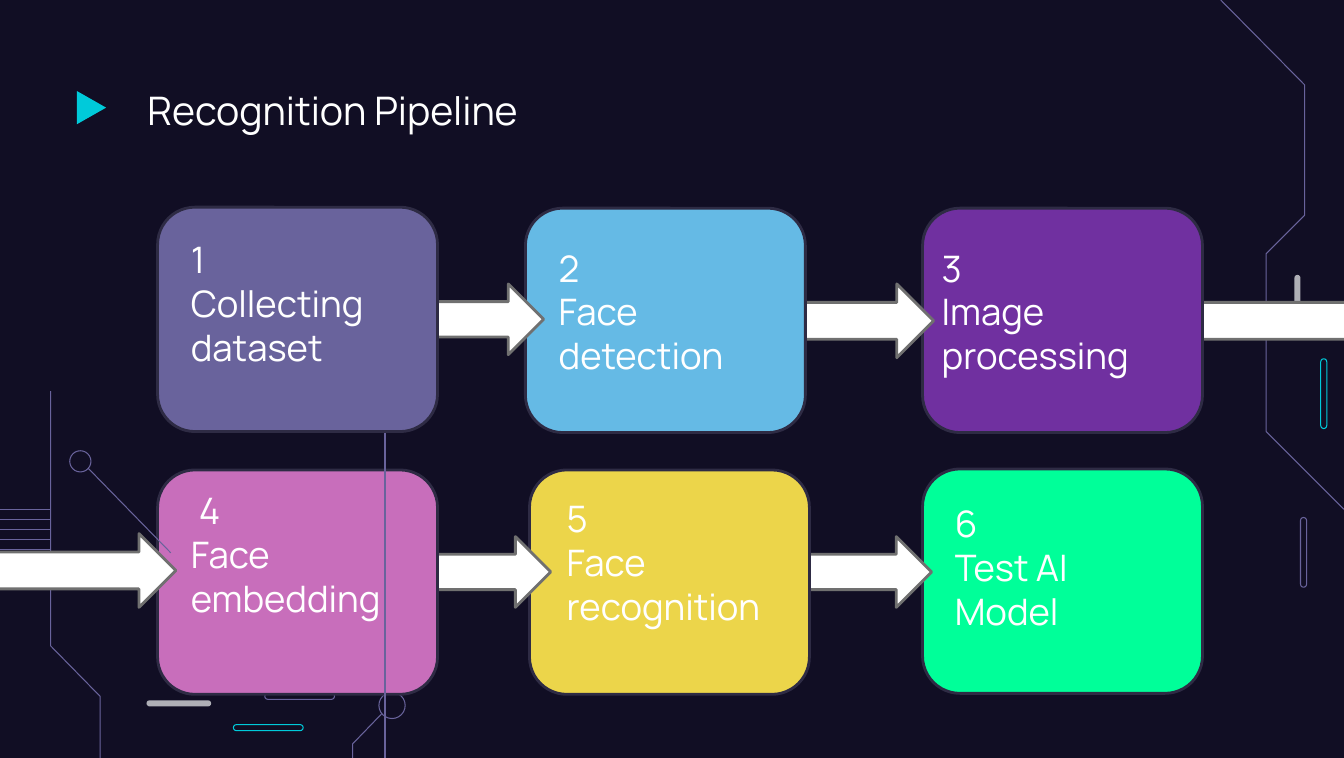
from dataclasses import dataclass
from typing import Optional

from lxml.etree import SubElement
from pptx import Presentation
from pptx.dml.color import RGBColor
from pptx.enum.shapes import MSO_CONNECTOR, MSO_SHAPE
from pptx.enum.text import MSO_ANCHOR, PP_ALIGN
from pptx.oxml.ns import qn
from pptx.util import Inches, Pt

NIGHT = RGBColor(0x11, 0x0E, 0x24)
WHITE = RGBColor(0xFF, 0xFF, 0xFF)
CYAN = RGBColor(0x00, 0xCA, 0xDA)
VIOLET = RGBColor(0x69, 0x63, 0x9C)
SILVER = RGBColor(0xAF, 0xAF, 0xB6)
GRAY = RGBColor(0x70, 0x70, 0x70)
EDGE = RGBColor(0x2E, 0x2B, 0x44)
SKY = RGBColor(0x65, 0xBA, 0xE5)
PURPLE = RGBColor(0x70, 0x30, 0xA0)
PINK = RGBColor(0xC8, 0x6E, 0xBB)
YELLOW = RGBColor(0xEC, 0xD5, 0x4A)
GREEN = RGBColor(0x00, 0xFF, 0x99)

FONT = "Manrope"
WIDE, HIGH = 13.3, 7.5
THIN, BOLD = 0.75, 2


@dataclass
class Form:
    kind: MSO_SHAPE
    x: float
    y: float
    w: float
    h: float
    fill: Optional[RGBColor] = None
    line: Optional[RGBColor] = None
    thick: float = THIN
    turn: float = 0
    round: Optional[float] = None


@dataclass
class Label:
    x: float
    y: float
    w: float
    h: float
    lines: list[str]
    size: float = 26
    indent: float = 0


def pill(x: float, y: float, w: float, h: float,
         fill: Optional[RGBColor], line: Optional[RGBColor]) -> Form:
    return Form(MSO_SHAPE.ROUNDED_RECTANGLE, x, y, w, h, fill, line, round=0.5)


def ring(x: float, y: float, size: float) -> Form:
    return Form(MSO_SHAPE.OVAL, x, y, size, size, line=VIOLET)


def card(x: float, y: float, fill: RGBColor) -> Form:
    return Form(MSO_SHAPE.ROUNDED_RECTANGLE, x, y, 2.77, 2.22, fill, EDGE, BOLD)


def arrow(x: float, y: float, w: float, h: float) -> Form:
    return Form(MSO_SHAPE.RIGHT_ARROW, x, y, w, h, WHITE, GRAY, BOLD)


def step(x: float, y: float, num: str, name: str, indent: float = 0) -> Label:
    return Label(x, y, 2.32, 1.85, [num, name], indent=indent)


DECOR = [
    pill(12.81, 2.72, 0.06, 0.64, SILVER, None),
    pill(1.45, 6.93, 0.64, 0.06, SILVER, None),
    pill(13.07, 3.55, 0.06, 0.69, None, CYAN),
    pill(12.87, 5.12, 0.06, 0.69, None, VIOLET),
    pill(2.31, 7.17, 0.69, 0.06, None, CYAN),
    pill(2.62, 6.86, 0.69, 0.06, None, VIOLET),
    Form(MSO_SHAPE.FLOWCHART_MERGE, 0.74, 0.92, 0.33, 0.29, CYAN, turn=270),
    ring(3.75, 6.85, 0.26),
]
TRACES = [
    [(13.3, 5.04), (12.53, 4.27), (12.53, 2.51), (12.91, 2.13),
     (12.91, 0.84), (12.08, 0)],
    [(0.99, 7.5), (0.99, 6.89), (0.5, 6.39), (0.5, 3.87)],
    [(3.78, 7.06), (3.49, 7.36), (3.49, 7.5)],
]
BACK = [
    arrow(11.74, 2.81, 2, 0.73),
    card(9.13, 4.64, GREEN),
    arrow(7.71, 5.31, 1.51, 0.7),
    card(5.24, 4.65, YELLOW),
    card(9.13, 2.06, PURPLE),
    arrow(4.14, 5.31, 1.31, 0.7),
    card(1.56, 4.65, PINK),
]
FRONT = [
    ring(0.69, 4.46, 0.21),
    arrow(7.61, 2.81, 1.63, 0.73),
    card(5.2, 2.06, SKY),
    arrow(4.07, 2.81, 1.31, 0.7),
    card(1.56, 2.05, VIOLET),
    arrow(-0.71, 5.28, 2.45, 0.73),
]
LABELS = [
    Label(1.36, 0.75, 8.43, 0.63, ["Recognition Pipeline"], 28),
    step(1.79, 2.25, "1", "Collecting dataset"),
    step(5.43, 2.33, "2", "Face detection"),
    step(9.22, 2.33, "3", "Image processing"),
    step(1.79, 4.73, "4", "Face embedding", 0.08),
    step(5.51, 4.81, "5", "Face recognition"),
    step(9.35, 4.86, "6", "Test AI Model"),
]


def paint(shape, fill: Optional[RGBColor], line: Optional[RGBColor],
          thick: float) -> None:
    shape.shadow.inherit = False
    if fill is None:
        shape.fill.background()
    else:
        shape.fill.solid()
        shape.fill.fore_color.rgb = fill
    if line is None:
        shape.line.fill.background()
    else:
        shape.line.color.rgb = line
        shape.line.width = Pt(thick)


def draw_form(slide, form: Form) -> None:
    shape = slide.shapes.add_shape(
        form.kind, Inches(form.x), Inches(form.y), Inches(form.w), Inches(form.h))
    shape.rotation = form.turn
    if form.round is not None:
        shape.adjustments[0] = form.round
    paint(shape, form.fill, form.line, form.thick)


def draw_trace(slide, spots: list[tuple[float, float]]) -> None:
    start, *rest = [(Inches(x), Inches(y)) for x, y in spots]
    pen = slide.shapes.build_freeform(*start)
    pen.add_line_segments(rest, close=False)
    paint(pen.convert_to_shape(), None, VIOLET, THIN)


def draw_line(slide, x1: float, y1: float, x2: float, y2: float) -> None:
    line = slide.shapes.add_connector(
        MSO_CONNECTOR.STRAIGHT, Inches(x1), Inches(y1), Inches(x2), Inches(y2))
    line.line.color.rgb = VIOLET
    line.line.width = Pt(THIN)
    SubElement(line._element.spPr, qn("a:effectLst"))


def draw_label(slide, label: Label) -> None:
    box = slide.shapes.add_textbox(
        Inches(label.x), Inches(label.y), Inches(label.w), Inches(label.h))
    frame = box.text_frame
    frame.word_wrap = True
    frame.vertical_anchor = MSO_ANCHOR.TOP
    frame.margin_left = frame.margin_right = Inches(0.1)
    frame.margin_top = frame.margin_bottom = Inches(0.1)
    for i, text in enumerate(label.lines):
        para = frame.paragraphs[0] if i == 0 else frame.add_paragraph()
        para.alignment = PP_ALIGN.LEFT
        if i == 0 and label.indent:
            para._p.get_or_add_pPr().set("marL", str(Inches(label.indent)))
        run = para.add_run()
        run.text = text
        run.font.name = FONT
        run.font.size = Pt(label.size)
        run.font.color.rgb = WHITE


def main() -> None:
    deck = Presentation()
    deck.slide_width, deck.slide_height = Inches(WIDE), Inches(HIGH)
    slide = deck.slides.add_slide(deck.slide_layouts[6])
    slide.background.fill.solid()
    slide.background.fill.fore_color.rgb = NIGHT
    for form in DECOR:
        draw_form(slide, form)
    for trace in TRACES:
        draw_trace(slide, trace)
    for i in range(5):
        draw_line(slide, 0, 5.04 + 0.1 * i, 0.5, 5.04 + 0.1 * i)
    for form in BACK:
        draw_form(slide, form)
    draw_line(slide, 3.81, 3.35, 3.81, HIGH)
    draw_line(slide, 1.69, 5.47, 0.87, 4.63)
    for form in FRONT:
        draw_form(slide, form)
    for label in LABELS:
        draw_label(slide, label)
    deck.save("out.pptx")


if __name__ == "__main__":
    main()
